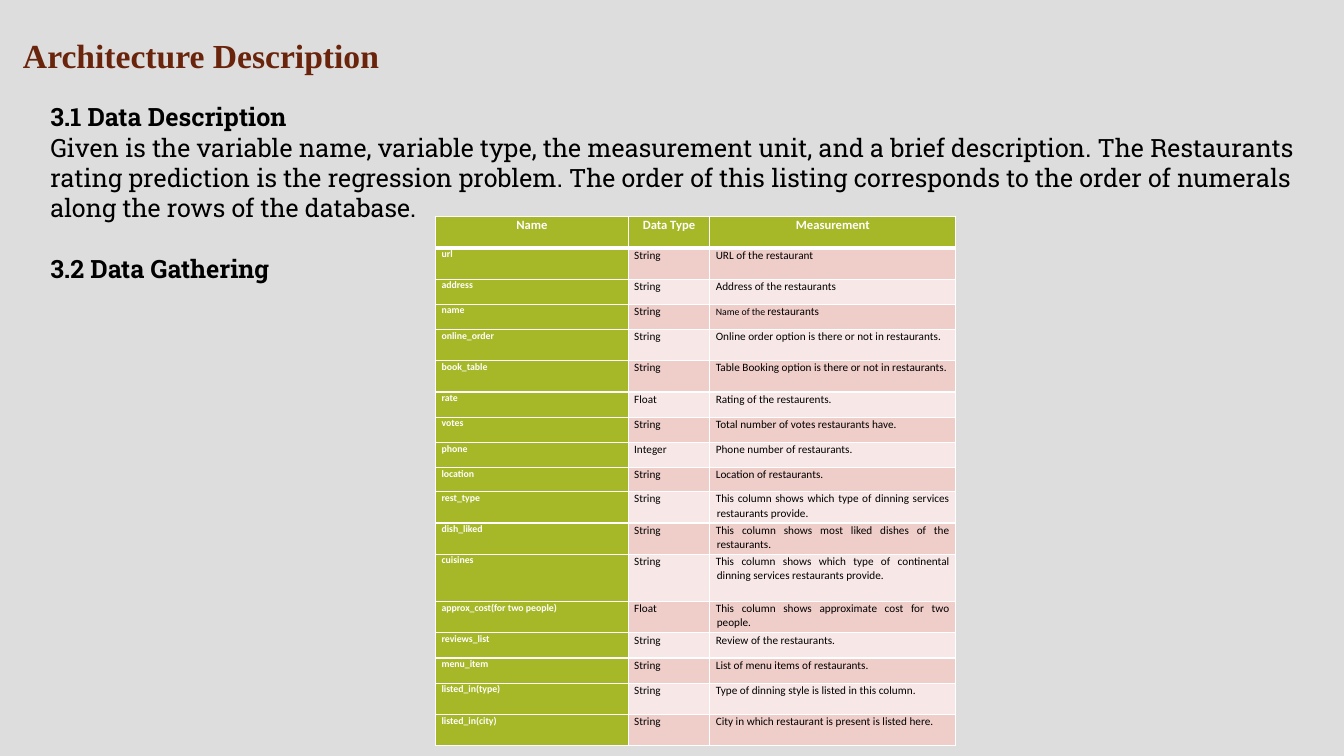
from lxml.etree import SubElement
from pptx import Presentation
from pptx.dml.color import RGBColor
from pptx.enum.text import MSO_AUTO_SIZE as AutoSize, PP_ALIGN as Align
from pptx.oxml import parse_xml
from pptx.oxml.ns import nsdecls, qn
from pptx.util import Inches, Pt

BACKGROUND = RGBColor(0xDD, 0xDD, 0xDD)
BROWN = RGBColor(0x69, 0x24, 0x0B)
BLACK = RGBColor(0x00, 0x00, 0x00)
WHITE = RGBColor(0xFF, 0xFF, 0xFF)
GREEN = RGBColor(0xA6, 0xB7, 0x27)
PINK = RGBColor(0xEF, 0xCE, 0xCA)
PALE_PINK = RGBColor(0xF7, 0xE8, 0xE7)

SECTIONS = [
    ("3.1 Data Description", True, 0),
    ("Given is the variable name, variable type, the measurement unit, and a brief "
     "description. The Restaurants rating prediction is the regression problem. The order "
     "of this listing corresponds to the order of numerals along the rows of the database.",
     False, 0),
    ("3.2 Data Gathering", True, 21.6),
]
COLUMN_WIDTHS = [1.91, 0.81, 2.44]
VARIABLES = [
    (0.31, "Name", "Data Type", "Measurement"),
    (0.31, "url", "String", "URL of the restaurant"),
    (0.25, "address", "String", "Address of the restaurants"),
    (0.25, "name", "String", [("Name of the ", 7), ("restaurants", 8)]),
    (0.31, "online_order", "String", "Online order option is there or not in restaurants."),
    (0.31, "book_table", "String", "Table Booking option is there or not in restaurants."),
    (0.25, "rate", "Float", "Rating of the restaurents."),
    (0.25, "votes", "String", "Total number of votes restaurants have."),
    (0.25, "phone", "Integer", "Phone number of restaurants."),
    (0.24, "location", "String", "Location of restaurants."),
    (0.31, "rest_type", "String",
     "This column shows which type of dinning services restaurants provide."),
    (0.31, "dish_liked", "String", "This column shows most liked dishes of the restaurants."),
    (0.47, "cuisines", "String",
     "This column shows which type of continental dinning services restaurants provide."),
    (0.31, "approx_cost(for two people)", "Float",
     "This column shows approximate cost for two people."),
    (0.25, "reviews_list", "String", "Review of the restaurants."),
    (0.25, "menu_item", "String", "List of menu items of restaurants."),
    (0.31, "listed_in(type)", "String", "Type of dinning style is listed in this column."),
    (0.31, "listed_in(city)", "String", "City in which restaurant is present is listed here."),
]


class SlideBuilder:
    heading_font = "Times New Roman"
    body_font = "Roboto Slab"
    table_font = "Calibri"

    def __init__(self, slide):
        self.slide = slide
        fill = slide.background.fill
        fill.solid()
        fill.fore_color.rgb = BACKGROUND

    def style(self, font, name, size, color, bold):
        font.name = name
        font.size = Pt(size)
        font.color.rgb = color
        font.bold = bold

    def text(self, left, top, width, height, paragraphs, name, size, color):
        shape = self.slide.shapes.add_textbox(
            Inches(left), Inches(top), Inches(width), Inches(height))
        frame = shape.text_frame
        frame.word_wrap = True
        frame.auto_size = AutoSize.SHAPE_TO_FIT_TEXT
        for index, (text, bold, space_before) in enumerate(paragraphs):
            paragraph = frame.add_paragraph() if index else frame.paragraphs[0]
            paragraph.text = text
            paragraph.space_before = Pt(space_before)
            self.style(paragraph.font, name, size, color, bold)

    def table(self, left, top, widths, rows):
        heights = [row[0] for row in rows]
        table = self.slide.shapes.add_table(
            len(rows), len(widths), Inches(left), Inches(top),
            Inches(sum(widths)), Inches(sum(heights))).table
        table.horz_banding = False
        for column, width in zip(table.columns, widths):
            column.width = Inches(width)
        for row_index, (height, *contents) in enumerate(rows):
            table.rows[row_index].height = Inches(height)
            for column_index, content in enumerate(contents):
                self.cell(table.cell(row_index, column_index), content, row_index, column_index)

    def cell(self, cell, content, row_index, column_index):
        is_header = row_index == 0
        is_label = is_header or column_index == 0
        band = PINK if row_index % 2 else PALE_PINK
        size = 9 if is_header else 7 if is_label else 8
        cell.margin_left = cell.margin_right = Inches(0.06)
        cell.margin_top = cell.margin_bottom = 0
        self.borders(cell, top=3 if row_index == 1 else 1, bottom=3 if is_header else 1)
        cell.fill.solid()
        cell.fill.fore_color.rgb = GREEN if is_label else band

        paragraph = cell.text_frame.paragraphs[0]
        paragraph.alignment = Align.CENTER if is_header else Align.JUSTIFY
        paragraph.line_spacing = 1.03
        properties = paragraph._p.get_or_add_pPr()
        properties.set("marL", str(Inches(0.01)))
        properties.set("indent", str(Inches(-0.01)))
        self.style(paragraph.font, self.table_font, size, WHITE if is_label else BLACK, is_label)
        if isinstance(content, str):
            content = [(content, size)]
        for text, run_size in content:
            run = paragraph.add_run()
            run.text = text
            if run_size != size:
                run.font.size = Pt(run_size)

    def borders(self, cell, top, bottom):
        properties = cell._tc.get_or_add_tcPr()
        edges = [("lnL", 1), ("lnR", 1), ("lnT", top), ("lnB", bottom)]
        for position, (tag, width) in enumerate(edges):
            line = parse_xml(f'<a:{tag} {nsdecls("a")} w="{Pt(width)}"/>')
            fill = SubElement(line, qn("a:solidFill"))
            SubElement(fill, qn("a:srgbClr")).set("val", str(WHITE))
            properties.insert(position, line)


def main():
    presentation = Presentation()
    presentation.slide_width = Inches(13.33)
    presentation.slide_height = Inches(7.5)
    builder = SlideBuilder(presentation.slides.add_slide(presentation.slide_layouts[6]))
    builder.text(0.13, 0.3, 6.16, 0.5, [("Architecture Description", True, 0)],
                 builder.heading_font, 24, BROWN)
    builder.text(0.4, 0.96, 12.75, 1.92, SECTIONS, builder.body_font, 18, BLACK)
    builder.table(4.32, 2.15, COLUMN_WIDTHS, VARIABLES)
    presentation.save("out.pptx")


if __name__ == "__main__":
    main()
